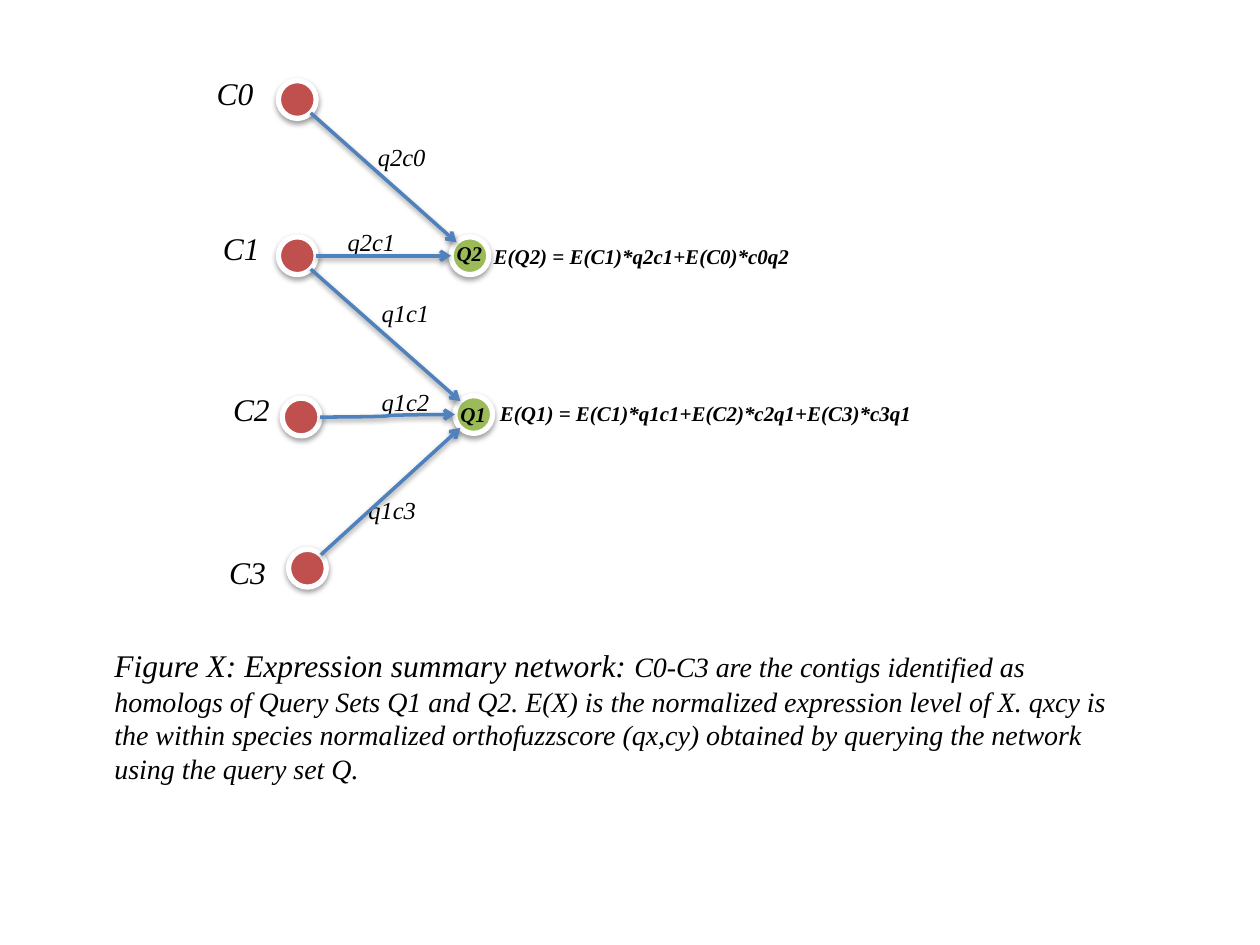
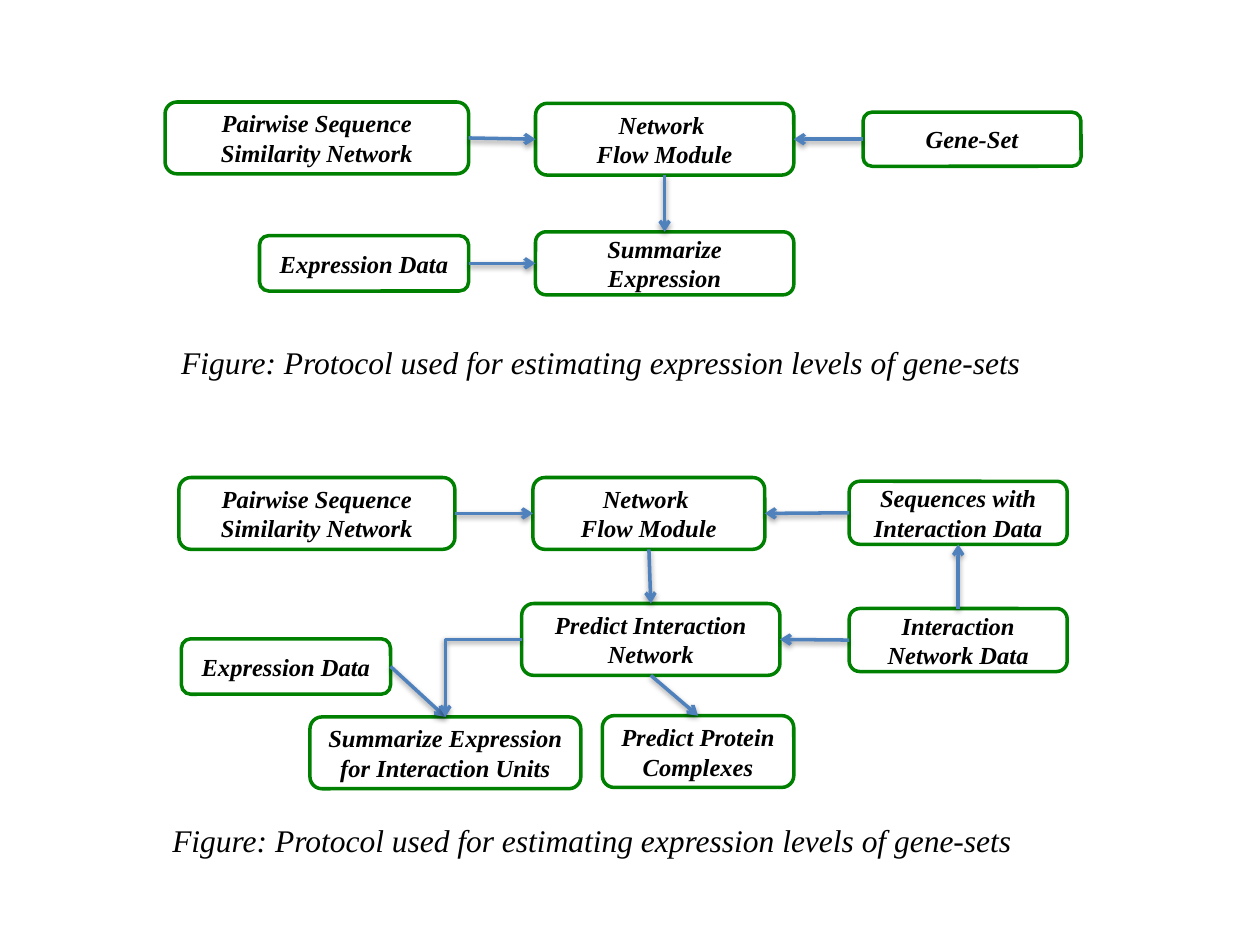
from pptx import Presentation
from pptx.util import Inches, Pt
from pptx.dml.color import RGBColor
from pptx.enum.shapes import MSO_SHAPE as Shape, MSO_CONNECTOR as Link
from pptx.enum.text import PP_ALIGN as Align, MSO_ANCHOR as Anchor, MSO_AUTO_SIZE as AutoSize
from pptx.oxml import parse_xml
from pptx.oxml.ns import qn, nsdecls

COLORS = {"text": "000000", "paper": "FFFFFF", "contig": "C0504D",
          "query": "9BBB59", "arrow": "4F81BD", "frame": "008000"}
COLORS = {name: RGBColor.from_string(value) for name, value in COLORS.items()}
FONT = "Times New Roman"
SHADOW = (f'<a:effectLst {nsdecls("a")}><a:outerShdw blurRad="40000" dist="20000" '
          'dir="5400000" rotWithShape="0"><a:srgbClr val="000000"><a:alpha val="38000"/>'
          '</a:srgbClr></a:outerShdw></a:effectLst>')


def write(shape, paragraphs, align=Align.LEFT, bold=False):
    """Fill a shape with paragraphs, each a list of (text, size) spans."""
    frame = shape.text_frame
    frame.word_wrap = True
    for number, spans in enumerate(paragraphs):
        para = frame.add_paragraph() if number else frame.paragraphs[0]
        para.alignment = align
        for text, size in spans:
            span = para.add_run()
            span.text = text
            span.font.color.rgb = COLORS["text"]
            look = {"name": FONT, "size": Pt(size), "italic": True, "bold": bold}
            for key, value in look.items():
                setattr(span.font, key, value)


def add_arrow(page, kind, start=(0, 0), end=(0, 0)):
    arrow = page.shapes.add_connector(kind, *[Inches(n) for n in (*start, *end)])
    arrow.line.color.rgb = COLORS["arrow"]
    arrow.line.width = Pt(2)
    arrow.line._get_or_add_ln().append(
        parse_xml(f'<a:tailEnd type="arrow" {nsdecls("a")}/>'))
    arrow._element.spPr.append(parse_xml(SHADOW))
    return arrow


deck = Presentation()
deck.slide_width, deck.slide_height = Inches(10), Inches(7.5)
network, protocols = [deck.slides.add_slide(deck.slide_layouts[6]) for _ in range(2)]

# Expression network: nodes
DIAMETER = 0.3
nodes = {"C0": (2.21, 0.64), "C1": (2.21, 1.88), "C2": (2.24, 3.16),
         "C3": (2.29, 4.36), "Q2": (3.58, 1.88), "Q1": (3.61, 3.14)}
for name, (left, top) in nodes.items():
    node = network.shapes.add_shape(
        Shape.OVAL, *[Inches(n) for n in (left, top, DIAMETER, DIAMETER)])
    node.fill.solid()
    node.fill.fore_color.rgb = COLORS["contig" if name[0] == "C" else "query"]
    node.line.color.rgb = COLORS["paper"]
    node.line.width = Pt(3)
    node._element.spPr.append(parse_xml(SHADOW))

# Expression network: labels and caption
caption = [("Figure X: Expression summary network: ", 18),
           ("C0-C3 are the contigs identified as homologs of Query Sets Q1 and Q2. "
            "E(X) is the normalized expression level of X. qxcy is the within species "
            "normalized orthofuzzscore (qx,cy) obtained by querying the network using "
            "the query set Q.", 16)]
labels = [
    # left, top, width, height, spans, alignment, bold
    (1.57, 0.54, 0.59, 0.4, [("C0", 18)], Align.CENTER, False),
    (1.62, 1.77, 0.59, 0.4, [("C1", 18)], Align.CENTER, False),
    (1.7, 3.05, 0.59, 0.4, [("C2", 18)], Align.CENTER, False),
    (1.67, 4.34, 0.59, 0.4, [("C3", 18)], Align.CENTER, False),
    (3.28, 1.86, 0.89, 0.3, [("Q2", 12)], Align.CENTER, True),
    (3.31, 3.14, 0.89, 0.3, [("Q1", 12)], Align.CENTER, True),
    (2.9, 1.08, 0.59, 0.34, [("q2c0", 14)], Align.LEFT, False),
    (2.66, 1.75, 0.59, 0.34, [("q2c1", 14)], Align.LEFT, False),
    (2.93, 2.32, 0.59, 0.34, [("q1c1", 14)], Align.LEFT, False),
    (2.93, 3.02, 0.59, 0.34, [("q1c2", 14)], Align.LEFT, False),
    (2.81, 3.88, 0.59, 0.34, [("q1c3", 14)], Align.RIGHT, False),
    (3.82, 1.88, 5.13, 0.3, [("E(Q2) = E(C1)*q2c1+E(C0)*c0q2", 12)], Align.LEFT, True),
    (3.87, 3.13, 5.13, 0.3, [("E(Q1) = E(C1)*q1c1+E(C2)*c2q1+E(C3)*c3q1", 12)],
     Align.LEFT, True),
    (0.81, 5.08, 8.18, 1.21, caption, Align.LEFT, False),
]
for *place, spans, align, bold in labels:
    box = network.shapes.add_textbox(*[Inches(n) for n in place])
    write(box, [spans], align, bold)
    box.text_frame.auto_size = AutoSize.SHAPE_TO_FIT_TEXT

# Expression network: arrows leave and meet the circles on their rims
DIAGONAL = 0.71
edges = [("C0", "Q2", DIAGONAL, DIAGONAL, Link.STRAIGHT),
         ("C1", "Q2", 1, 0, Link.STRAIGHT),
         ("C1", "Q1", DIAGONAL, DIAGONAL, Link.STRAIGHT),
         ("C2", "Q1", 1, 0, Link.CURVE),
         ("C3", "Q1", DIAGONAL, -DIAGONAL, Link.STRAIGHT)]
radius = DIAMETER / 2
for source, target, across, down, kind in edges:
    (x1, y1), (x2, y2) = nodes[source], nodes[target]
    add_arrow(network, kind,
              (x1 + radius * (1 + across), y1 + radius * (1 + down)),
              (x2 + radius * (1 - across), y2 + radius * (1 - down)))

# Protocols: boxes of the upper and the lower flow chart
boxes = {
    "upper pairwise": (1.31, 0.81, 2.41, 0.57, ["Pairwise Sequence Similarity Network"]),
    "upper flow": (4.25, 0.82, 2.05, 0.57, ["Network ", "Flow Module"]),
    "gene set": (6.85, 0.89, 1.73, 0.43, ["Gene-Set"]),
    "upper summary": (4.25, 1.84, 2.05, 0.5, ["Summarize Expression"]),
    "upper data": (2.06, 1.87, 1.66, 0.44, ["Expression Data"]),
    "pairwise": (1.42, 3.79, 2.19, 0.57, ["Pairwise Sequence Similarity Network"]),
    "flow": (4.23, 3.79, 1.84, 0.57, ["Network ", "Flow Module"]),
    "sequences": (6.74, 3.82, 1.73, 0.5, ["Sequences with Interaction Data"]),
    "prediction": (4.14, 4.79, 2.05, 0.57, ["Predict Interaction Network"]),
    "interactions": (6.74, 4.83, 1.73, 0.5, ["Interaction Network Data"]),
    "summary": (2.46, 5.69, 2.15, 0.57, ["Summarize Expression ", "for Interaction Units"]),
    "data": (1.44, 5.07, 1.66, 0.44, ["Expression Data"]),
    "complexes": (4.78, 5.68, 1.52, 0.57, ["Predict Protein Complexes"]),
}
steps = {}
for name, (*place, lines) in boxes.items():
    step = page_box = protocols.shapes.add_shape(
        Shape.ROUNDED_RECTANGLE, *[Inches(n) for n in place])
    step.shadow.inherit = False
    step.fill.solid()
    step.fill.fore_color.rgb = COLORS["paper"]
    step.line.color.rgb = COLORS["frame"]
    step.line.width = Pt(2)
    step.text_frame.vertical_anchor = Anchor.MIDDLE
    write(step, [[(line, 14)] for line in lines], Align.CENTER, True)
    steps[name] = step

# Protocols: arrows glued to the sides of the boxes
TOP, LEFT, BOTTOM, RIGHT = range(4)
flows = [("upper pairwise", RIGHT, "upper flow", LEFT),
         ("gene set", LEFT, "upper flow", RIGHT),
         ("upper flow", BOTTOM, "upper summary", TOP),
         ("upper data", RIGHT, "upper summary", LEFT),
         ("pairwise", RIGHT, "flow", LEFT),
         ("sequences", LEFT, "flow", RIGHT),
         ("flow", BOTTOM, "prediction", TOP),
         ("interactions", TOP, "sequences", BOTTOM),
         ("interactions", LEFT, "prediction", RIGHT),
         ("data", RIGHT, "summary", TOP),
         ("prediction", LEFT, "summary", TOP),
         ("prediction", BOTTOM, "complexes", TOP)]
for source, exit_side, target, entry_side in flows:
    bent = (exit_side, entry_side) == (LEFT, TOP)
    arrow = add_arrow(protocols, Link.ELBOW if bent else Link.STRAIGHT)
    arrow.begin_connect(steps[source], exit_side)
    arrow.end_connect(steps[target], entry_side)
    if bent:  # a single corner
        arrow._element.spPr.find(qn("a:prstGeom")).set("prst", "bentConnector2")

# Protocols: captions
for left, top in [(0.68, 2.67), (0.61, 6.47)]:
    box = protocols.shapes.add_textbox(*[Inches(n) for n in (left, top, 8.18, 0.4)])
    write(box, [[("Figure: Protocol used for estimating expression levels of gene-sets", 18)]],
          Align.CENTER)
    box.text_frame.auto_size = AutoSize.SHAPE_TO_FIT_TEXT

deck.save("out.pptx")
